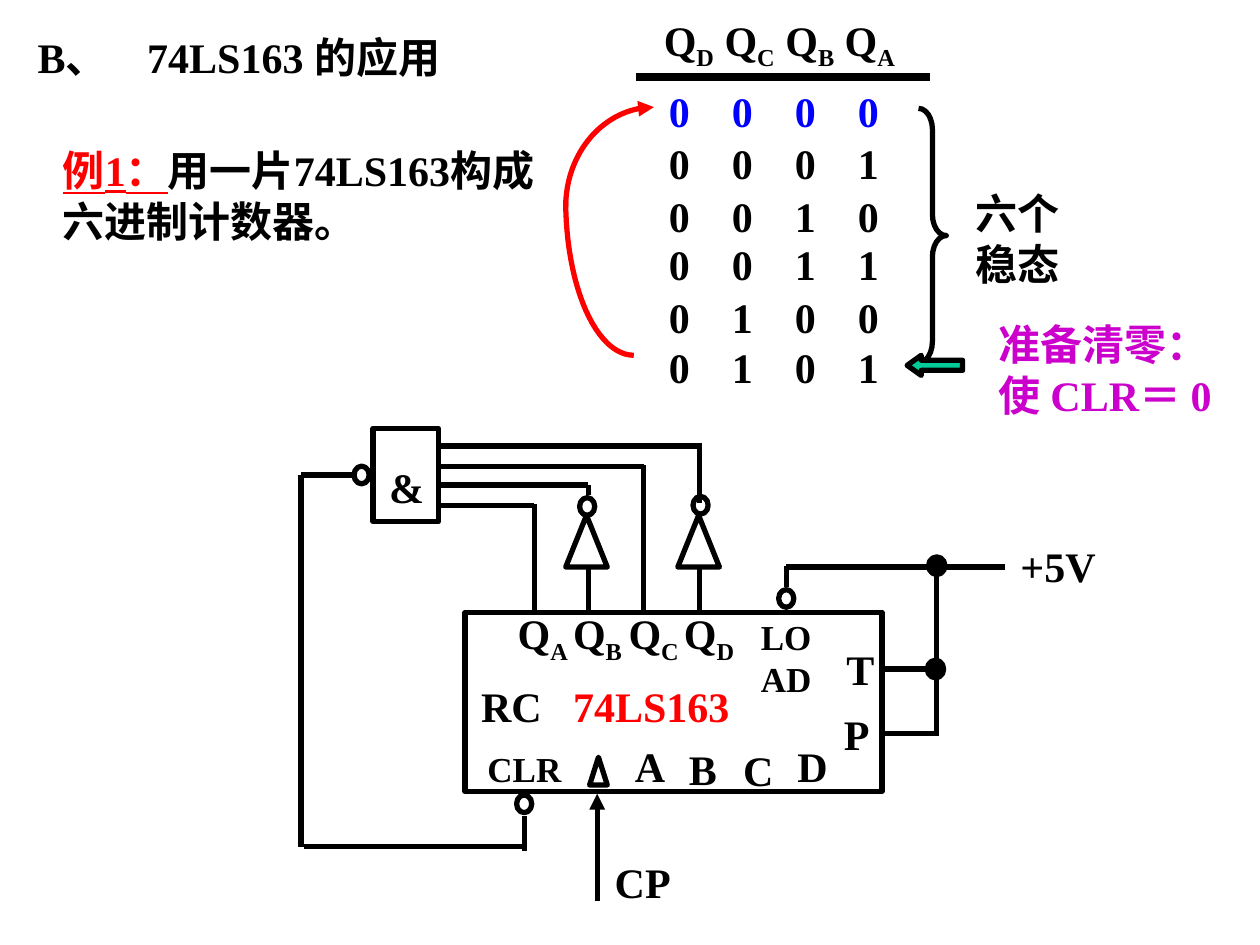
from dataclasses import dataclass
from math import cos, radians, sin
from typing import Any

from lxml.etree import SubElement
from pptx import Presentation
from pptx.dml.color import RGBColor
from pptx.enum.shapes import MSO_CONNECTOR, MSO_SHAPE
from pptx.enum.text import MSO_ANCHOR, MSO_AUTO_SIZE
from pptx.oxml.ns import qn
from pptx.util import Inches, Pt

STRAIGHT = MSO_CONNECTOR.STRAIGHT
RECTANGLE = MSO_SHAPE.RECTANGLE
TRIANGLE = MSO_SHAPE.ISOSCELES_TRIANGLE
OVAL = MSO_SHAPE.OVAL
BRACE = MSO_SHAPE.RIGHT_BRACE
LEFT_ARROW = MSO_SHAPE.LEFT_ARROW
MIDDLE = MSO_ANCHOR.MIDDLE
FIT = MSO_AUTO_SIZE.SHAPE_TO_FIT_TEXT


@dataclass(frozen=True)
class Theme:
    """Colours, font and sizes of the slide."""
    font: str = "Times New Roman"
    body: int = 24
    small: int = 20
    stroke: float = 3
    rule: float = 4.5
    ink: str = "000000"
    red: str = "FF0000"
    blue: str = "0000FF"
    purple: str = "CC00CC"
    green: str = "00CC99"


THEME = Theme()


@dataclass
class Region:
    """A box on the page whose parts are placed from its top left corner."""
    page: Any
    left: float
    top: float

    def place(self, x, y):
        """Return the page position of a point in the region."""
        return Inches(self.left + x), Inches(self.top + y)

    def label(self, text, x, y, width, height=0.5, color=THEME.ink, size=THEME.body, tabs=()):
        """Write text, in which every second piece between bars is a subscript."""
        box = self.page.shapes.add_textbox(*self.place(x, y), Inches(width), Inches(height))
        frame = box.text_frame
        frame.word_wrap = True
        frame.auto_size = FIT
        frame.vertical_anchor = MIDDLE
        para = frame.paragraphs[0]
        if tabs:
            stops = SubElement(para._p.get_or_add_pPr(), qn("a:tabLst"))
            for stop in tabs:
                SubElement(stops, qn("a:tab"), pos=str(Inches(stop)), algn="l")
        para.space_before = Pt(size * 0.625)
        para.font.name = THEME.font
        para.font.size = Pt(size)
        para.font.bold = True
        para.font.color.rgb = RGBColor.from_string(color)
        pieces = text.split("|")
        para.text = pieces[0]
        for index, piece in enumerate(pieces[1:], 1):
            span = para.add_run()
            span.text = piece
            if index % 2:
                span._r.get_or_add_rPr().set("baseline", "-25000")
        return para

    def shape(self, kind, x, y, width, height, fill=None):
        """Add an outlined preset shape."""
        shape = self.page.shapes.add_shape(
            kind, *self.place(x, y), Inches(width), Inches(height))
        return outline(shape, THEME.ink, fill)

    def line(self, x1, y1, x2, y2, weight=THEME.stroke, arrow=False):
        """Add a straight line, with an arrowhead at its end if asked."""
        wire = self.page.shapes.add_connector(
            STRAIGHT, *self.place(x1, y1), *self.place(x2, y2))
        wire.line.color.rgb = RGBColor.from_string(THEME.ink)
        wire.line.width = Pt(weight)
        if arrow:
            add_arrowhead(wire)
        SubElement(wire._element.spPr, qn("a:effectLst"))

    def arc(self, x, y, width, height, start, end, arrow=False):
        """Draw an elliptical arc around a centre between two angles."""
        steps = 24
        angles = [radians(start + (end - start) * i / steps) for i in range(steps + 1)]
        points = [self.place(x + width * cos(a), y + height * sin(a)) for a in angles]
        builder = self.page.shapes.build_freeform(*points[0])
        builder.add_line_segments(points[1:], close=False)
        curve = outline(builder.convert_to_shape(), THEME.red)
        if arrow:
            add_arrowhead(curve)


def outline(shape, color, fill=None):
    """Set the line and fill of a shape and drop its shadow."""
    shape.shadow.inherit = False
    shape.line.color.rgb = RGBColor.from_string(color)
    shape.line.width = Pt(THEME.stroke)
    if fill:
        shape.fill.solid()
        shape.fill.fore_color.rgb = RGBColor.from_string(fill)
    else:
        shape.fill.background()
    return shape


def add_arrowhead(shape):
    """Put a triangle at the end of a line."""
    SubElement(shape.line._get_or_add_ln(), qn("a:tailEnd"), type="triangle")


def add_heading(region):
    """Write the title and the example."""
    region.label("B、\t74LS163 的应用", 0, 0, 4.74, tabs=[0.87])
    para = region.label("例1：", 0.2, 0.9, 3.94, 0.9)
    lead = para.runs[0].font
    lead.color.rgb = RGBColor.from_string(THEME.red)
    lead.underline = True
    para.add_run().text = "用一片74LS163构成六进制计数器。"


def add_states(region):
    """Draw the state list with its loop, brace and remarks."""
    region.label("Q|D| Q|C| Q|B| Q|A", 1.17, 0.06, 2.37, 0.56)
    region.line(1.05, 0.61, 3.38, 0.61, THEME.rule)
    for state, top in enumerate([0.63, 1.04, 1.46, 1.84, 2.26, 2.66]):
        color = THEME.ink if state else THEME.blue
        region.label("\t".join(f"{state:04b}"), 1.21, top, 2.04,
                     color=color, tabs=[0.5, 1, 1.5])
    brace = region.shape(BRACE, 3.29, 0.86, 0.22, 2.02)
    brace.adjustments[0] = 0.77
    region.label("六个 稳态", 3.64, 1.44, 0.95, 0.9)
    arrow = region.shape(LEFT_ARROW, 3.2, 2.82, 0.44, 0.16, THEME.green)
    arrow.adjustments[1] = 0.7
    region.label("准备清零：\v使 CLR＝ 0", 3.83, 2.48, 2.14, 0.9, THEME.purple)
    region.arc(1.19, 1.64, 0.7, 0.79, 180, 270, arrow=True)
    region.arc(1.03, 1.59, 0.54, 1.23, 90, 180)


def add_counter(region):
    """Draw the counter chip with its pin names."""
    region.shape(RECTANGLE, 1.69, 1.86, 3.31, 1.42)
    for index, name in enumerate("ABCD"):
        region.label(f"Q|{name}", 2.01 + 0.44 * index, 1.77, 0.7, 0.56)
    for index, (name, top) in enumerate(zip("ABCD", [2.83, 2.85, 2.86, 2.83])):
        region.label(name, 2.94 + 0.43 * index, top, 0.44)
    region.label("T", 4.62, 2.06, 0.54)
    region.label("P", 4.6, 2.57, 0.54)
    region.label("RC", 1.72, 2.35, 0.79)
    region.label("74LS163", 2.45, 2.35, 1.45, color=THEME.red)
    region.label("LOAD", 3.94, 1.83, 0.61, 0.77, size=THEME.small)
    region.label("CLR", 1.77, 2.88, 0.87, 0.44, size=THEME.small)
    region.shape(TRIANGLE, 2.68, 3.01, 0.14, 0.22)


def add_wiring(region):
    """Draw the gate, inverters, wires and supply around the counter."""
    region.shape(RECTANGLE, 0.96, 0.4, 0.52, 0.74)
    region.label("&", 0.99, 0.61, 0.43)
    for x, y in [(2.1, 3.31), (4.18, 1.68), (0.81, 0.7), (2.6, 0.95), (3.5, 0.94)]:
        region.shape(OVAL, x, y, 0.12, 0.14)
    for x, y in [(5.37, 1.42), (5.36, 2.24)]:
        region.shape(OVAL, x, y, 0.13, 0.14, THEME.ink)
    for x in [2.49, 3.38]:
        region.shape(TRIANGLE, x, 1.09, 0.33, 0.41)
    wires = [
        (1.5, 1.01, 2.24, 1.01), (2.24, 1, 2.24, 1.86),
        (1.5, 0.85, 2.67, 0.85), (2.67, 0.85, 2.67, 0.93), (2.67, 1.52, 2.67, 1.86),
        (1.5, 0.7, 3.11, 0.7), (3.11, 0.69, 3.11, 1.84),
        (1.5, 0.54, 3.55, 0.54), (3.55, 0.52, 3.55, 0.99), (3.55, 1.49, 3.55, 1.86),
        (4.24, 1.49, 4.24, 1.66), (4.24, 1.5, 5.98, 1.5), (5.43, 1.5, 5.43, 2.84),
        (5, 2.31, 5.41, 2.31), (5, 2.82, 5.45, 2.82),
        (0.39, 0.77, 0.79, 0.77), (0.39, 0.77, 0.39, 3.72),
        (0.41, 3.72, 2.18, 3.72), (2.16, 3.48, 2.16, 3.75),
    ]
    for wire in wires:
        region.line(*wire)
    region.line(2.74, 4.15, 2.74, 3.3, arrow=True)
    region.label("CP", 2.78, 3.75, 0.85)
    region.label("+5V", 6, 1.24, 0.98)


def main():
    """Build and save the slide."""
    deck = Presentation()
    deck.slide_width, deck.slide_height = Inches(10), Inches(7.5)
    page = deck.slides.add_slide(deck.slide_layouts[6])
    add_heading(Region(page, 0.2, 0.2))
    add_states(Region(page, 4, 0))
    circuit = Region(page, 2, 3)
    add_counter(circuit)
    add_wiring(circuit)
    deck.save("out.pptx")


if __name__ == "__main__":
    main()
